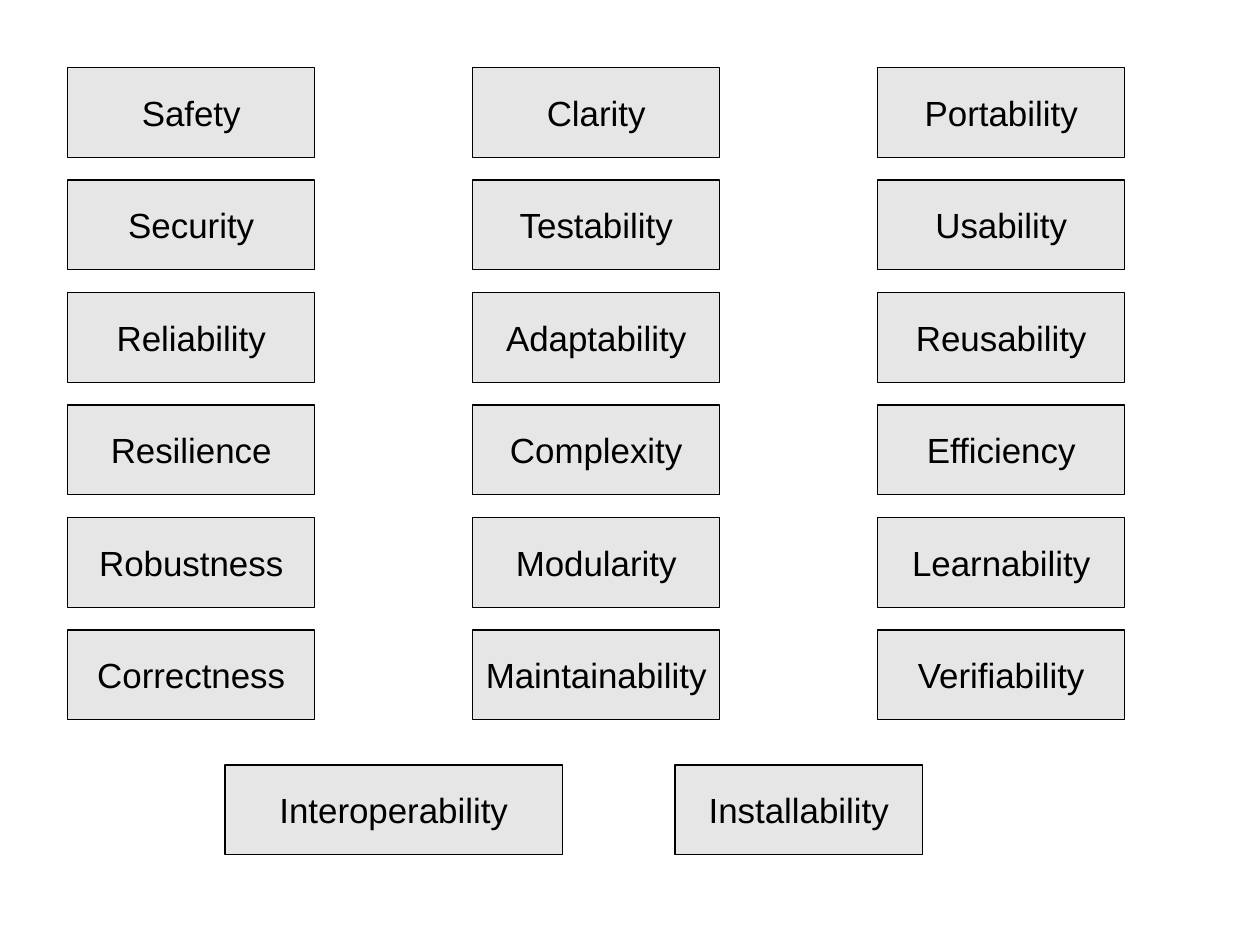
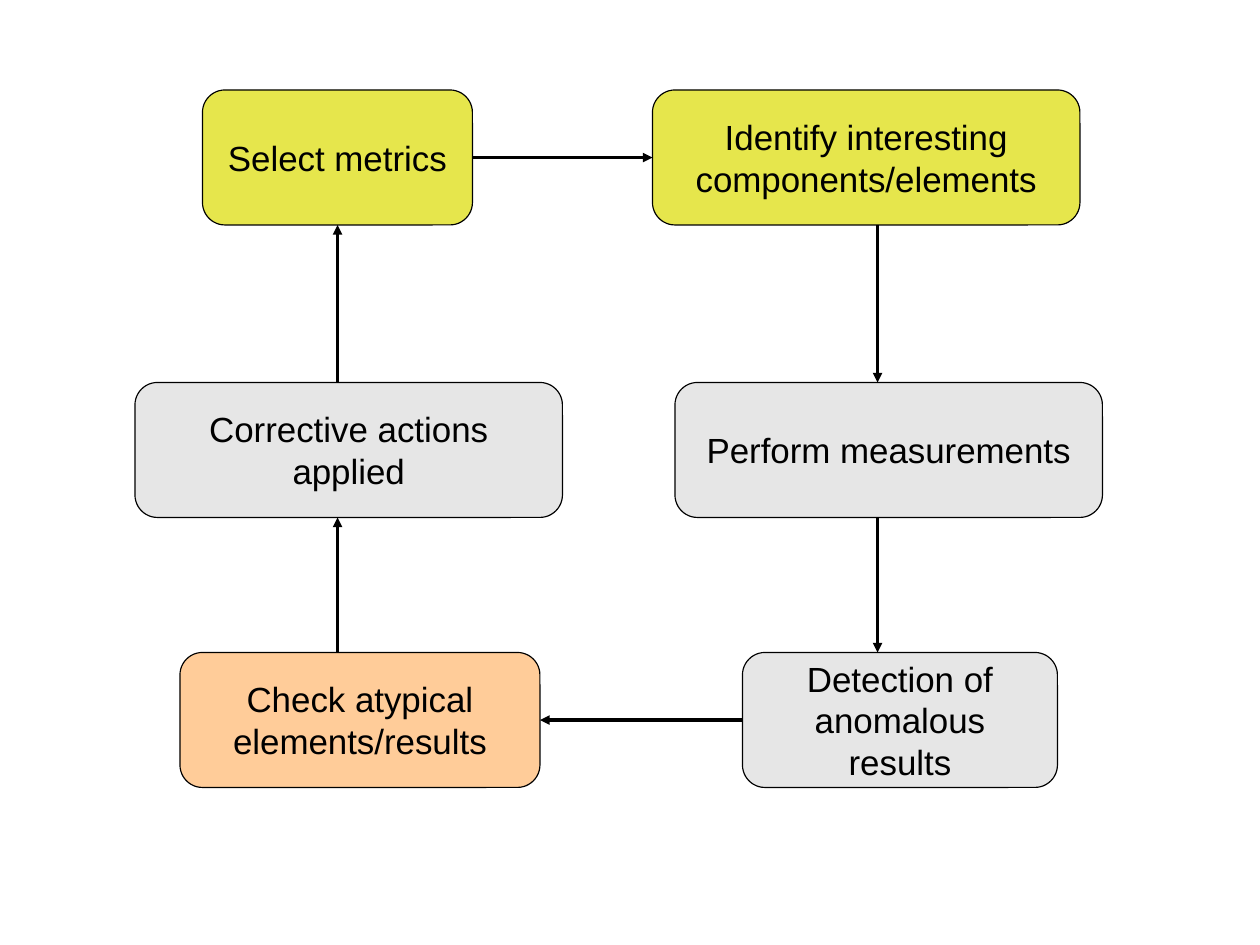
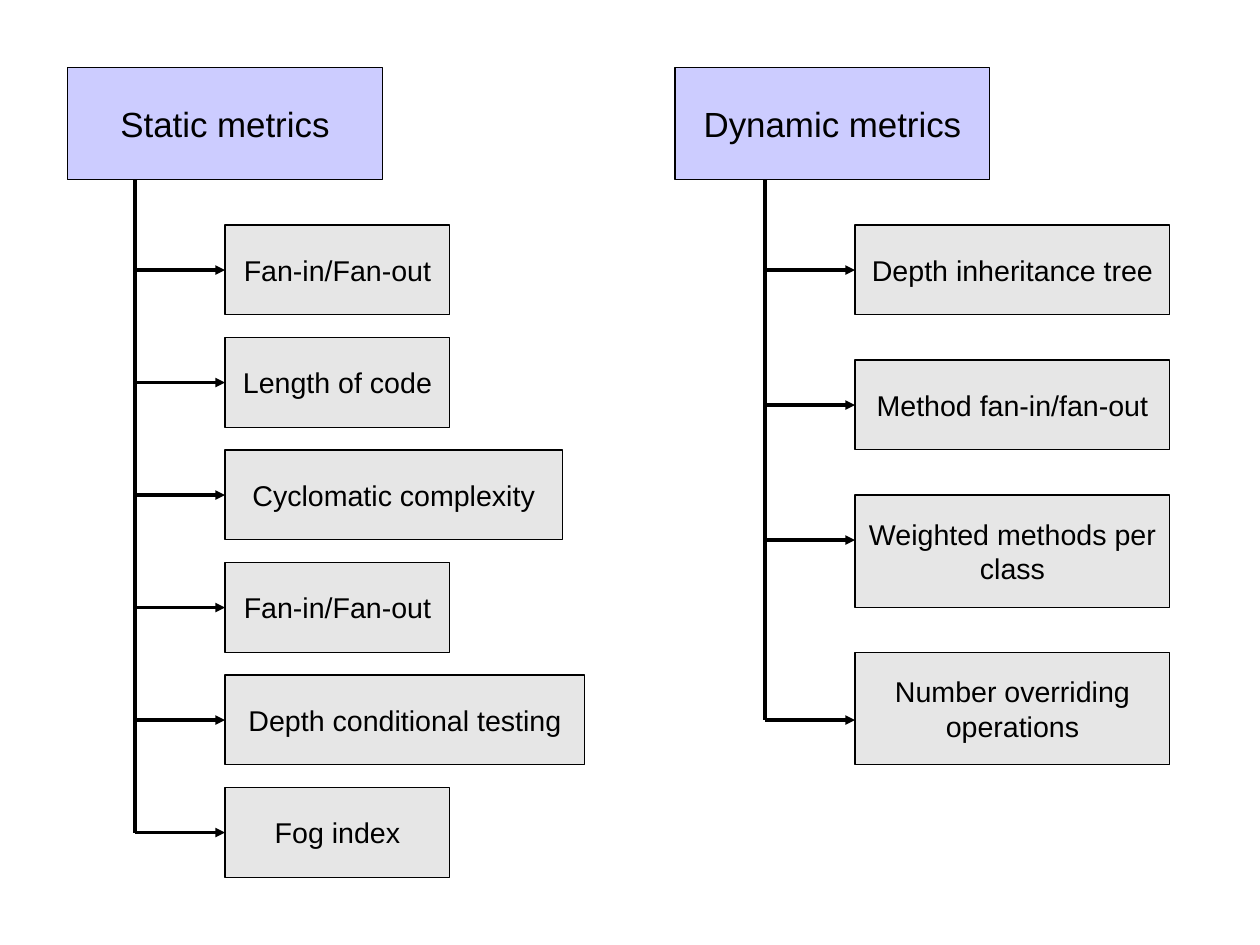
from dataclasses import dataclass

from lxml import etree
from pptx import Presentation
from pptx import util as u
from pptx.dml.color import RGBColor
from pptx.enum import shapes, text
from pptx.oxml import ns
from pptx.slide import Slide

HUES = {"ink": "000000", "grey": "E6E6E6", "lime": "E6E64C",
        "peach": "FFCC99", "lilac": "CCCCFF", "page": "FFFFFF"}
FONT = "Arial"
LARGE, SMALL = 22, 18
RECT = shapes.MSO_SHAPE.RECTANGLE
ROUND = shapes.MSO_SHAPE.ROUNDED_RECTANGLE


@dataclass(frozen=True)
class Box:
    words: str
    x: float
    y: float
    w: float
    h: float = 2
    hue: str = "grey"
    size: int = LARGE
    form: int = RECT

    def sides(self) -> list[tuple[float, float]]:
        mid_x, mid_y = self.x + self.w / 2, self.y + self.h / 2
        return [(mid_x, self.y), (self.x, mid_y),
                (mid_x, self.y + self.h), (self.x + self.w, mid_y)]


@dataclass(frozen=True)
class Line:
    start: tuple[float, float]
    end: tuple[float, float]
    head: bool = True


@dataclass(frozen=True)
class Item:
    words: str
    w: float
    h: float
    mark: float


@dataclass(frozen=True)
class Tree:
    title: str
    x: float
    trunk: float
    gap: float
    items: list[Item]


def tint(name: str) -> RGBColor:
    return RGBColor.from_string(HUES[name])


def draw_box(slide: Slide, box: Box):
    shape = slide.shapes.add_shape(
        box.form, u.Cm(box.x), u.Cm(box.y), u.Cm(box.w), u.Cm(box.h))
    shape.shadow.inherit = False
    shape.fill.solid()
    shape.fill.fore_color.rgb = tint(box.hue)
    shape.line.color.rgb = tint("ink")
    shape.line.width = u.Pt(0)
    frame = shape.text_frame
    frame.word_wrap = True
    frame.vertical_anchor = text.MSO_ANCHOR.MIDDLE
    for i, row in enumerate(box.words.split("\n")):
        para = frame.add_paragraph() if i else frame.paragraphs[0]
        para.alignment = text.PP_ALIGN.CENTER
        run = para.add_run()
        run.text = row
        run.font.name = FONT
        run.font.size = u.Pt(box.size)
        run.font.color.rgb = tint("ink")
    return shape


def draw_line(slide: Slide, line: Line, drawn: list) -> None:
    link = slide.shapes.add_connector(
        shapes.MSO_CONNECTOR.STRAIGHT,
        *(u.Cm(n) for n in (*line.start, *line.end)))
    link.line.color.rgb = tint("ink")
    link.line.width = u.Pt(0)
    if line.head:
        etree.SubElement(link.line._get_or_add_ln(), ns.qn("a:tailEnd"), type="triangle")
    etree.SubElement(link._element.spPr, ns.qn("a:effectLst"))
    for box, shape in drawn:
        for side, point in enumerate(box.sides()):
            if point == line.start:
                link.begin_connect(shape, side)
            if point == line.end:
                link.end_connect(shape, side)


def draw_slide(deck, boxes: list[Box], lines: list[Line]) -> None:
    slide = deck.slides.add_slide(deck.slide_layouts[6])
    slide.background.fill.solid()
    slide.background.fill.fore_color.rgb = tint("page")
    drawn = [(box, draw_box(slide, box)) for box in boxes]
    for line in lines:
        draw_line(slide, line, drawn)


def grid() -> list[Box]:
    cols = [
        ["Safety", "Security", "Reliability", "Resilience", "Robustness", "Correctness"],
        ["Clarity", "Testability", "Adaptability", "Complexity", "Modularity", "Maintainability"],
        ["Portability", "Usability", "Reusability", "Efficiency", "Learnability", "Verifiability"],
    ]
    boxes = [Box(word, 1.5 + 9 * c, 1.5 + 2.5 * r, 5.5)
             for c, col in enumerate(cols) for r, word in enumerate(col)]
    return boxes + [Box("Interoperability", 5, 17, 7.5),
                    Box("Installability", 15, 17, 5.5)]


def cycle() -> tuple[list[Box], list[Line]]:
    top, mid, low = 2, 8.5, 14.5
    steps = [
        ("Select metrics", 4.5, top, 6, "lime"),
        ("Identify interesting\ncomponents/elements", 14.5, top, 9.5, "lime"),
        ("Perform measurements", 15, mid, 9.5, "grey"),
        ("Detection of\nanomalous results", 16.5, low, 7, "grey"),
        ("Check atypical\nelements/results", 4, low, 8, "peach"),
        ("Corrective actions\napplied", 3, mid, 9.5, "grey"),
    ]
    tall = 3
    boxes = [Box(words, x, y, w, tall, hue, form=ROUND) for words, x, y, w, hue in steps]
    left, right = 7.5, 19.5
    lines = [
        Line((10.5, 3.5), (14.5, 3.5)),
        Line((right, top + tall), (right, mid)),
        Line((right, mid + tall), (right, low)),
        Line((16.5, 16), (12, 16)),
        Line((left, low), (left, mid + tall)),
        Line((left, mid), (left, top + tall)),
    ]
    return boxes, lines


def grow(tree: Tree) -> tuple[list[Box], list[Line]]:
    root = Box(tree.title, tree.x, 1.5, 7, 2.5, "lilac")
    base = root.y + root.h
    boxes, lines = [root], [
        Line((tree.trunk, base), (tree.trunk, tree.items[-1].mark), False)]
    y, x = base + 1, tree.trunk + 2
    for item in tree.items:
        boxes.append(Box(item.words, x, y, item.w, item.h, size=SMALL))
        lines.append(Line((tree.trunk, item.mark), (x, item.mark)))
        y += item.h + tree.gap
    return boxes, lines


def trees() -> tuple[list[Box], list[Line]]:
    leaves = [("Fan-in/Fan-out", 5), ("Length of code", 5),
              ("Cyclomatic complexity", 7.5), ("Fan-in/Fan-out", 5),
              ("Depth conditional testing", 8), ("Fog index", 5)]
    fixed = Tree("Static metrics", 1.5, 3, 0.5,
                 [Item(words, w, 2, 6 + 2.5 * i) for i, (words, w) in enumerate(leaves)])
    live = Tree("Dynamic metrics", 15, 17, 1, [
        Item("Depth inheritance tree", 7, 2, 6),
        Item("Method fan-in/fan-out", 7, 2, 9),
        Item("Weighted methods per\nclass", 7, 2.5, 12),
        Item("Number overriding\noperations", 7, 2.5, 16),
    ])
    boxes, lines = grow(fixed)
    more, extra = grow(live)
    return boxes + more, lines + extra


def main() -> None:
    deck = Presentation()
    deck.slide_width, deck.slide_height = u.Cm(28), u.Cm(21)
    draw_slide(deck, grid(), [])
    draw_slide(deck, *cycle())
    draw_slide(deck, *trees())
    deck.save("out.pptx")


if __name__ == "__main__":
    main()
